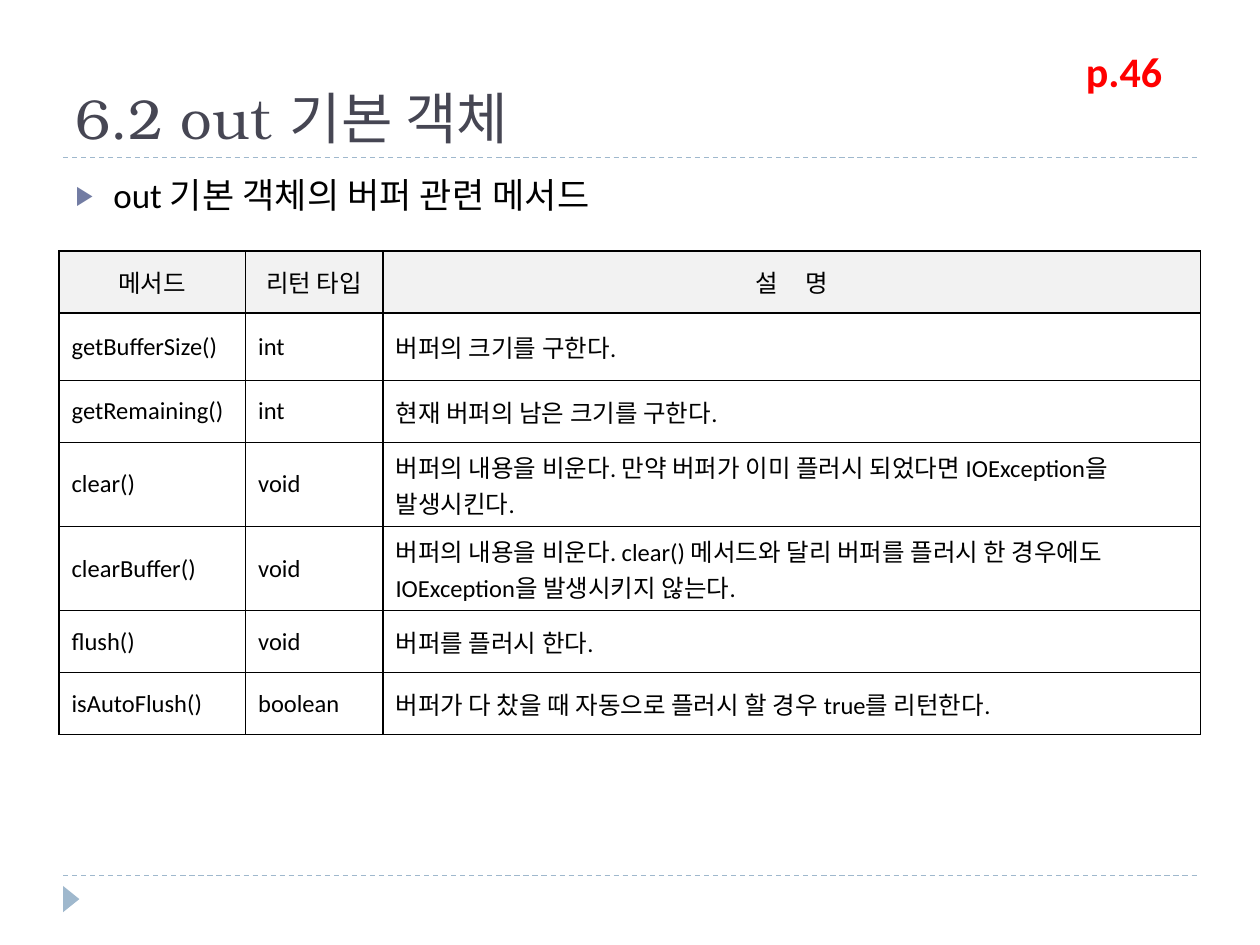
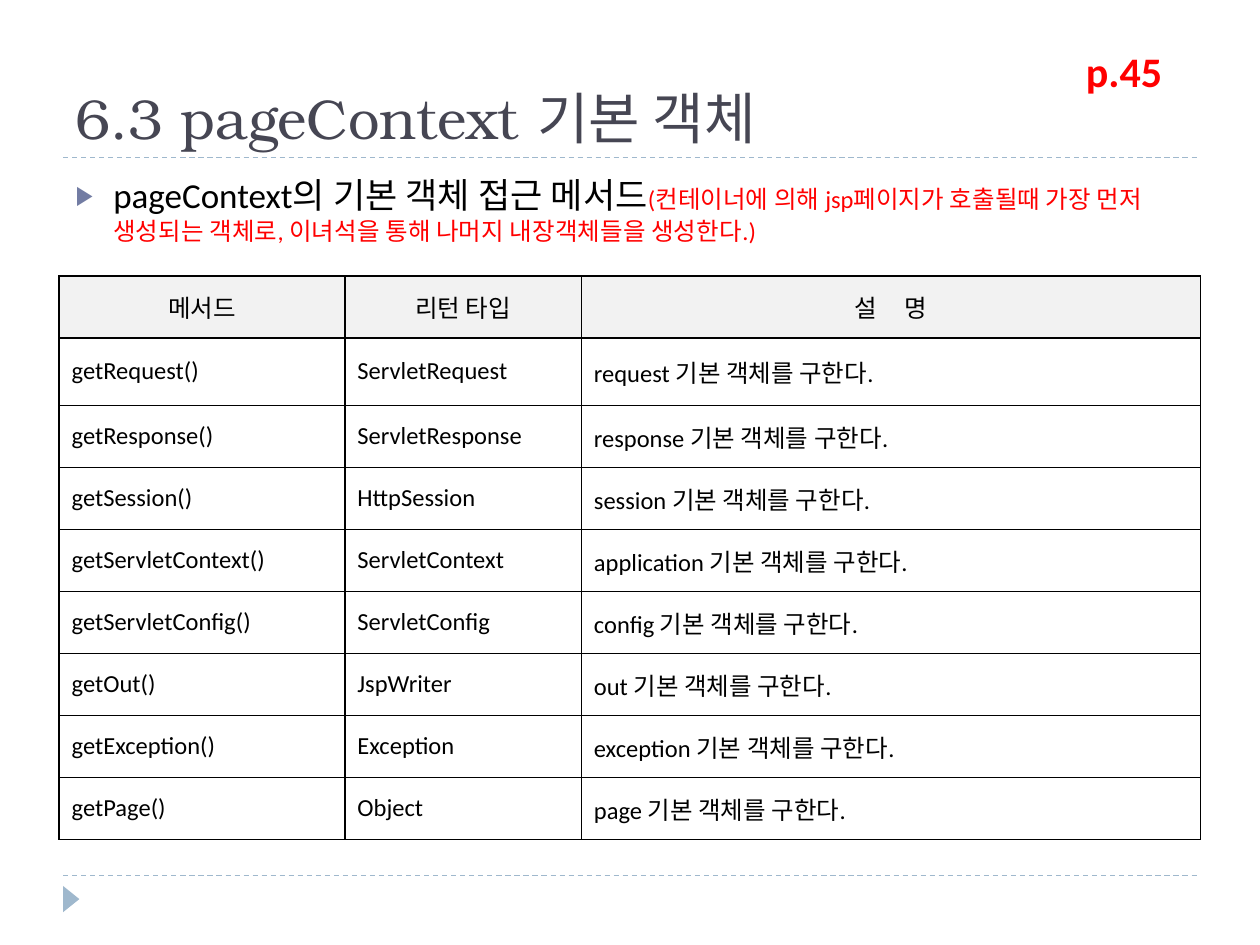
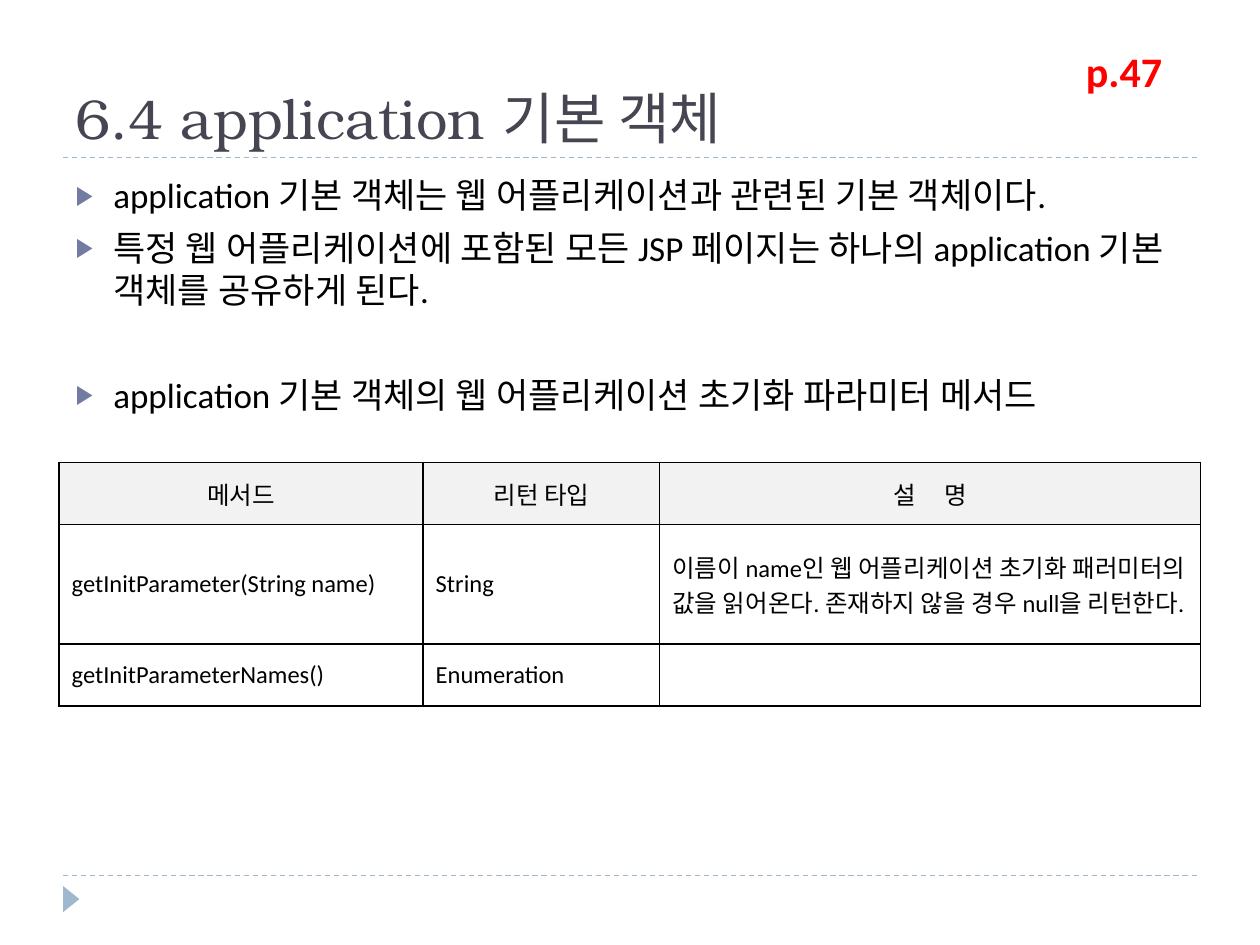
from lxml.etree import SubElement
from pptx import Presentation
from pptx.dml.color import RGBColor
from pptx.enum.dml import MSO_LINE
from pptx.enum.shapes import MSO_CONNECTOR, MSO_SHAPE
from pptx.enum.text import MSO_ANCHOR, MSO_AUTO_SIZE, PP_ALIGN
from pptx.oxml.ns import qn
from pptx.util import Cm, Pt

INK = RGBColor(0x00, 0x00, 0x00)
TITLE_INK = RGBColor(0x46, 0x46, 0x53)
ACCENT = RGBColor(0x9F, 0xB8, 0xCD)
BULLET = RGBColor(0x72, 0x7C, 0xA3)
RED = RGBColor(0xFF, 0x00, 0x00)
HEADER_FILL = RGBColor(0xF2, 0xF2, 0xF2)

TITLE_FONT = "TeX Gyre Bonum"
BODY_FONT = "Calibri"

TABLE_LEFT, TABLE_WIDTH = 1.19, 23.01
ROW_HEIGHT, FIRST_ROW_HEIGHT = 1.25, 1.36
HEADINGS = ("메서드", "리턴 타입", "설 명")

# Objects that the page context hands out: method, type, object name
CONTEXT_OBJECTS = [
    ("getRequest()", "ServletRequest", "request"),
    ("getResponse()", "ServletResponse", "response"),
    ("getSession()", "HttpSession", "session"),
    ("getServletContext()", "ServletContext", "application"),
    ("getServletConfig()", "ServletConfig", "config"),
    ("getOut()", "JspWriter", "out"),
    ("getException()", "Exception", "exception"),
    ("getPage()", "Object", "page"),
]

# Each bullet is (space before in points, text, small red remark)
PAGES = [
    {
        "title": "6.2 out 기본 객체",
        "label": "p.46",
        "bullets": [(6, "out 기본 객체의 버퍼 관련 메서드", "")],
        "table_top": 5.06,
        "columns": (3.76, 2.77),
        "rows": [
            ("getBufferSize()", "int", "버퍼의 크기를 구한다."),
            ("getRemaining()", "int", "현재 버퍼의 남은 크기를 구한다."),
            ("clear()", "void",
             "버퍼의 내용을 비운다. 만약 버퍼가 이미 플러시 되었다면 "
             "IOException을 발생시킨다."),
            ("clearBuffer()", "void",
             "버퍼의 내용을 비운다. clear() 메서드와 달리 버퍼를 플러시 한 "
             "경우에도 IOException을 발생시키지 않는다."),
            ("flush()", "void", "버퍼를 플러시 한다."),
            ("isAutoFlush()", "boolean",
             "버퍼가 다 찼을 때 자동으로 플러시 할 경우 true를 리턴한다."),
        ],
    },
    {
        "title": "6.3 pageContext 기본 객체",
        "label": "p.45",
        "bullets": [
            (6, "pageContext의 기본 객체 접근 메서드",
             "(컨테이너에 의해 jsp페이지가 호출될때 가장 먼저 생성되는 객체로, "
             "이녀석을 통해 나머지 내장객체들을 생성한다.)"),
        ],
        "table_top": 5.56,
        "columns": (5.76, 4.77),
        "rows": [(method, kind, f"{name} 기본 객체를 구한다.")
                 for method, kind, name in CONTEXT_OBJECTS],
    },
    {
        "title": "6.4 application 기본 객체",
        "label": "p.47",
        "bullets": [
            (6, "application 기본 객체는 웹 어플리케이션과 관련된 기본 객체이다.", ""),
            (6, "특정 웹 어플리케이션에 포함된 모든 JSP 페이지는 하나의 "
                "application 기본 객체를 공유하게 된다.", ""),
            (36, "application 기본 객체의 웹 어플리케이션 초기화 파라미터 메서드", ""),
        ],
        "table_top": 9.32,
        "columns": (7.34, 4.77),
        "rows": [
            ("getInitParameter(String name)", "String",
             "이름이 name인 웹 어플리케이션 초기화 패러미터의 값을 읽어온다. "
             "존재하지 않을 경우 null을 리턴한다."),
            ("getInitParameterNames()", "Enumeration", ""),
        ],
    },
]


def write(para, text, size=14, color=INK, font=BODY_FONT, bold=False,
          east_asian=None, spacing=None):
    """Add one formatted span of text to a paragraph."""
    span = para.add_run()
    span.text = text
    span.font.size = Pt(size)
    span.font.name = font
    span.font.bold = bold
    span.font.color.rgb = color
    if east_asian:
        SubElement(span.font._element, qn("a:ea"), typeface=east_asian)
    if spacing:
        span.font._element.set("spc", str(spacing))


def add_borders(cell):
    """Draw a black one-point line on all four sides of a table cell."""
    properties = cell._tc.get_or_add_tcPr()
    for side in ("a:lnL", "a:lnR", "a:lnT", "a:lnB"):
        line = SubElement(properties, qn(side), w=str(Pt(1)))
        fill = SubElement(line, qn("a:solidFill"))
        SubElement(fill, qn("a:srgbClr"), val=str(INK))


deck = Presentation()
deck.slide_width, deck.slide_height = Cm(25.4), Cm(19.05)

# Shared layout: placeholder places, two dashed rules and the corner marker
layout = deck.slide_layouts[1]
title_place, body_place, *footers = layout.placeholders
for footer in footers:
    footer.element.getparent().remove(footer.element)
for place, top, height in ((title_place, 0.43, 2.74), (body_place, 3.38, 13.72)):
    place.left, place.top = Cm(1.27), Cm(top)
    place.width, place.height = Cm(22.86), Cm(height)

pages = [deck.slides.add_slide(layout) for _ in PAGES]
decorations = []
for top in (17.65, 3.18):
    rule = pages[0].shapes.add_connector(
        MSO_CONNECTOR.STRAIGHT, Cm(1.27), Cm(top), Cm(24.13), Cm(top))
    rule.line.color.rgb = ACCENT
    rule.line.width = Pt(0.75)
    rule.line.dash_style = MSO_LINE.DASH
    SubElement(rule.element.spPr, qn("a:effectLst"))
    decorations.append(rule)
marker = pages[0].shapes.add_shape(
    MSO_SHAPE.ISOSCELES_TRIANGLE, Cm(1.17), Cm(17.96), Cm(0.53), Cm(0.33))
marker.rotation = 90
marker.shadow.inherit = False
marker.fill.solid()
marker.fill.fore_color.rgb = ACCENT
marker.line.fill.background()
decorations.append(marker)
for decoration in decorations:
    layout.element.cSld.spTree.append(decoration.element)

for page, content in zip(pages, PAGES):
    title, body = page.placeholders

    title.text_frame.auto_size = MSO_AUTO_SIZE.NONE
    title.text_frame.vertical_anchor = MSO_ANCHOR.BOTTOM
    para = title.text_frame.paragraphs[0]
    para.alignment = PP_ALIGN.LEFT
    write(para, content["title"], size=32, color=TITLE_INK, font=TITLE_FONT)

    frame = body.text_frame
    frame.auto_size = MSO_AUTO_SIZE.NONE
    for number, (space, text, remark) in enumerate(content["bullets"]):
        para = frame.add_paragraph() if number else frame.paragraphs[0]
        para.space_before = Pt(space)
        properties = para._p.get_or_add_pPr()
        properties.set("marL", str(Cm(0.76)))
        properties.set("indent", str(Cm(-0.76)))
        bullet_color = SubElement(properties, qn("a:buClr"))
        SubElement(bullet_color, qn("a:srgbClr"), val=str(BULLET))
        SubElement(properties, qn("a:buSzPct"), val="76000")
        SubElement(properties, qn("a:buChar"), char="▶")
        write(para, text, size=20, east_asian=BODY_FONT)
        if remark:
            write(para, remark, color=RED, east_asian=BODY_FONT)

    rows = [HEADINGS, *content["rows"]]
    heights = [ROW_HEIGHT, FIRST_ROW_HEIGHT] + [ROW_HEIGHT] * (len(rows) - 2)
    widths = [*content["columns"], TABLE_WIDTH - sum(content["columns"])]
    table = page.shapes.add_table(
        len(rows), len(widths), Cm(TABLE_LEFT), Cm(content["table_top"]),
        Cm(TABLE_WIDTH), Cm(sum(heights))).table
    table.first_row = table.horz_banding = False
    for column, width in zip(table.columns, widths):
        column.width = Cm(width)
    for row_number, (row, height) in enumerate(zip(rows, heights)):
        table.rows[row_number].height = Cm(height)
        for column_number, text in enumerate(row):
            cell = table.cell(row_number, column_number)
            cell.vertical_anchor = MSO_ANCHOR.MIDDLE
            add_borders(cell)
            para = cell.text_frame.paragraphs[0]
            if row_number:
                cell.fill.background()
            else:
                cell.fill.solid()
                cell.fill.fore_color.rgb = HEADER_FILL
                para.alignment = PP_ALIGN.CENTER
            if text == HEADINGS[-1]:
                # Spread the two syllables with character spacing
                write(para, text[:-1], spacing=640)
                write(para, text[-1])
            elif text:
                write(para, text)

    label = page.shapes.add_textbox(Cm(21.64), Cm(0.79), Cm(2.59), Cm(1.27))
    label.text_frame.word_wrap = True
    label.text_frame.auto_size = MSO_AUTO_SIZE.SHAPE_TO_FIT_TEXT
    write(label.text_frame.paragraphs[0], content["label"],
          size=24, color=RED, bold=True)

deck.save("out.pptx")
